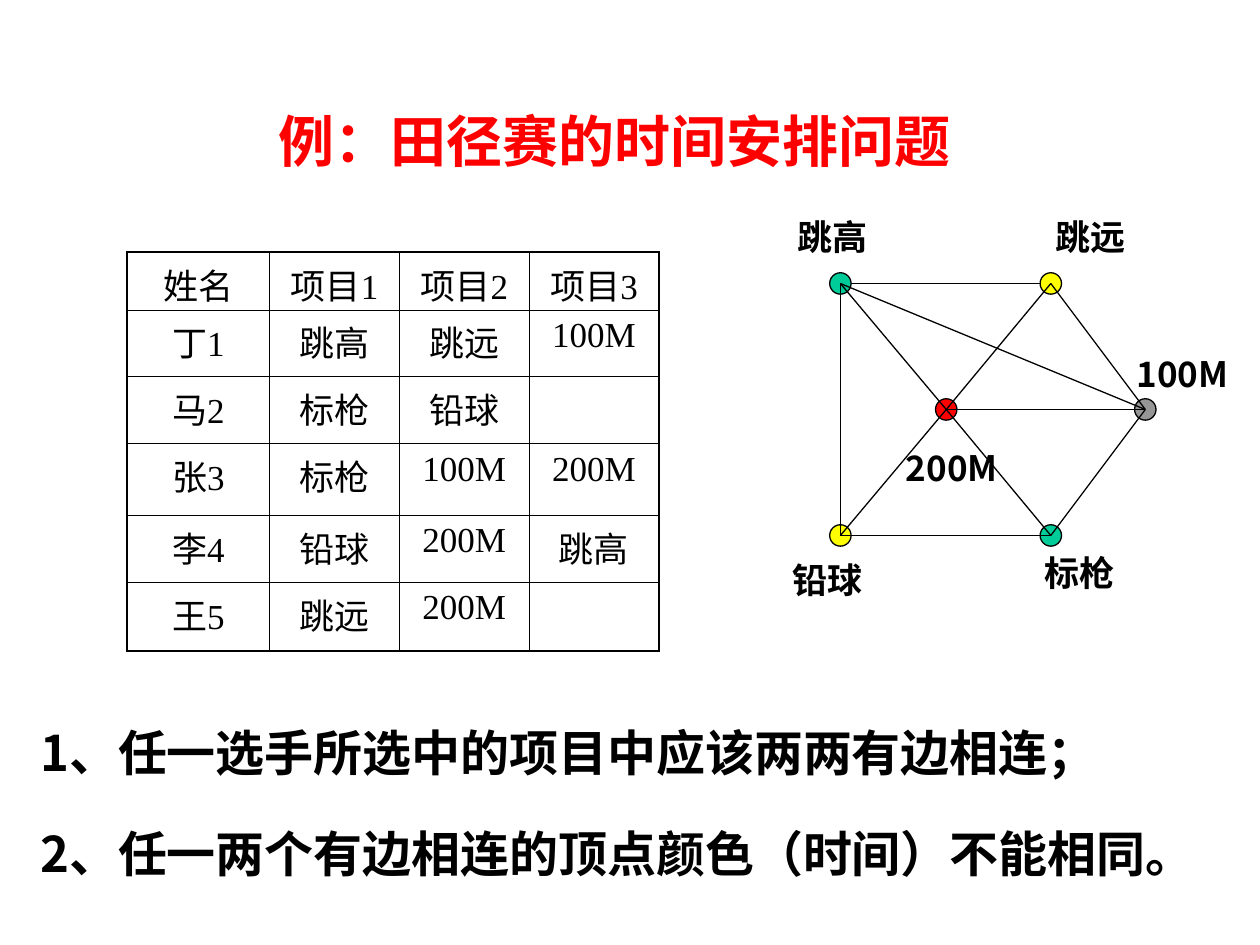
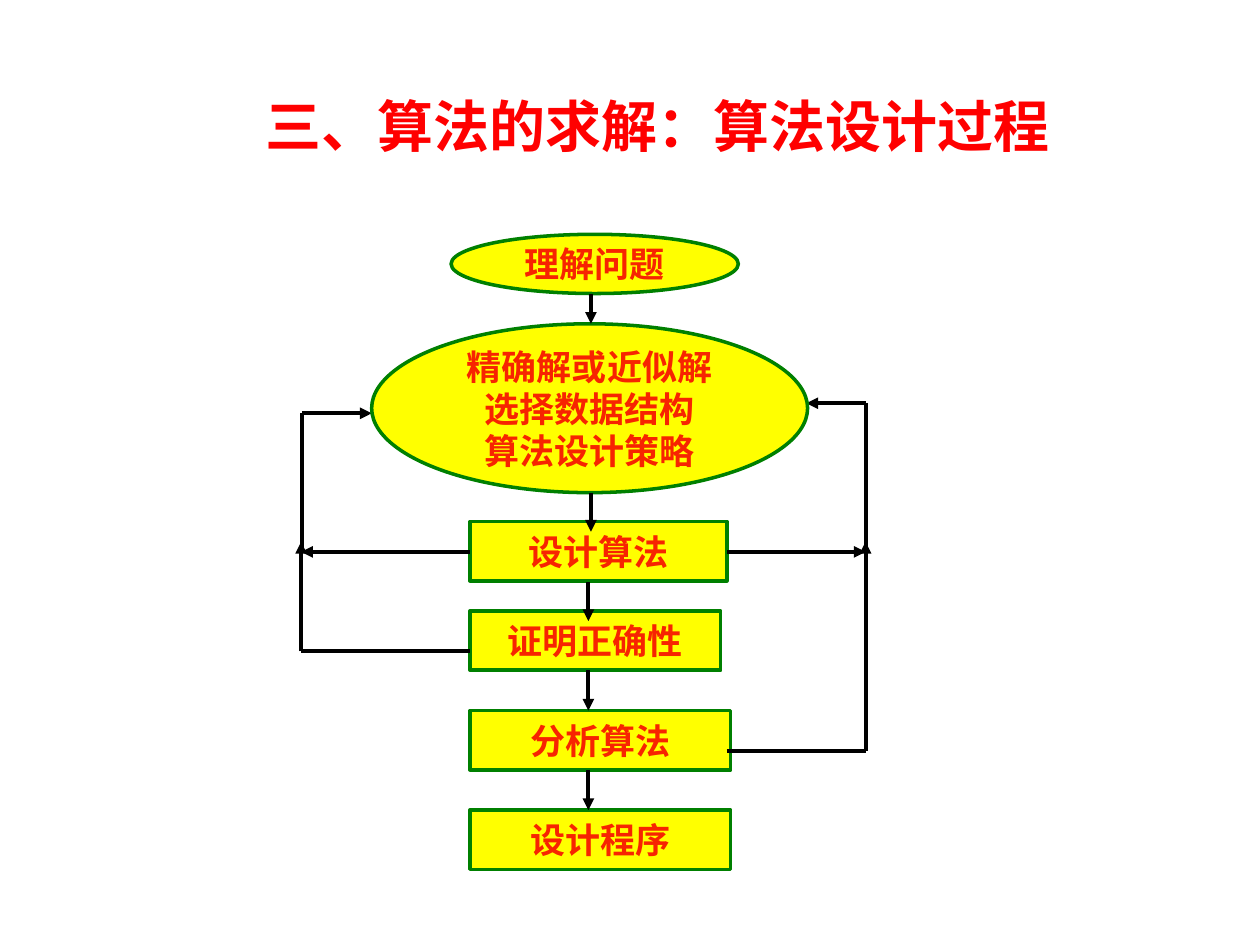
from lxml.etree import SubElement
from pptx import Presentation
from pptx.dml.color import RGBColor
from pptx.enum.shapes import MSO_CONNECTOR as Connector, MSO_SHAPE as Shape
from pptx.enum.text import MSO_ANCHOR as Anchor, MSO_AUTO_SIZE as AutoSize, PP_ALIGN as Align
from pptx.oxml.ns import qn
from pptx.util import Inches, Pt

BLACK = RGBColor(0x00, 0x00, 0x00)
RED = RGBColor(0xFF, 0x00, 0x00)
YELLOW = RGBColor(0xFF, 0xFF, 0x00)
TEAL = RGBColor(0x00, 0xCC, 0x99)
GRAY = RGBColor(0x96, 0x96, 0x96)
GREEN = RGBColor(0x00, 0x80, 0x00)
ORANGE_RED = RGBColor(0xF7, 0x24, 0x01)

SANS = "Noto Sans CJK SC"
LABEL_SANS = "Noto Sans CJK JP"
SERIF = "Times New Roman"
ARIAL = "Arial"

TITLE = {"size": Pt(32), "name": SANS, "color": RED, "bold": True}
BODY = {"size": Pt(28), "name": SANS, "color": BLACK, "bold": True}
LABEL = {"size": Pt(20), "name": LABEL_SANS, "color": BLACK, "bold": True}
CELL = {"size": Pt(20), "name": SERIF, "color": BLACK, "bold": False}
STEP = {"size": Pt(20), "name": SERIF, "color": ORANGE_RED, "bold": True}

OUTER_BORDER, INNER_BORDER = Pt(1.08), Pt(0.45)


class Deck:
    def __init__(self):
        self.presentation = Presentation()
        self.presentation.slide_width = Inches(10)
        self.presentation.slide_height = Inches(7.5)
        self.slide = None

    def new_slide(self):
        self.slide = self.presentation.slides.add_slide(self.presentation.slide_layouts[6])

    def set_margins(self, target, horizontal, vertical):
        target.margin_left = target.margin_right = Inches(horizontal)
        target.margin_top = target.margin_bottom = Inches(vertical)

    def add_lines(self, frame, lines, style, align=Align.LEFT, spacing=None, gap=0):
        """Fill a text frame, one paragraph a line, with gap points between paragraphs."""
        for index, line in enumerate(lines):
            paragraph = frame.add_paragraph() if index else frame.paragraphs[0]
            paragraph.alignment = align
            if spacing:
                paragraph.line_spacing = spacing
            if index and gap:
                paragraph.space_before = Pt(gap)
            run = paragraph.add_run()
            run.text = line
            self.style_font(run.font, style)

    def style_font(self, font, style):
        for key, value in style.items():
            if key == "color":
                font.color.rgb = value
            else:
                setattr(font, key, value)
        east_asian = style["name"] if style["name"] == LABEL_SANS else SANS
        SubElement(font._element, qn("a:ea"), typeface=east_asian)

    def text(self, box, lines, style, wrap=True, margins=(0.12, 0.06), spacing=1.2, gap=0):
        frame = self.slide.shapes.add_textbox(*map(Inches, box)).text_frame
        frame.word_wrap = wrap
        frame.auto_size = AutoSize.SHAPE_TO_FIT_TEXT
        self.set_margins(frame, *margins)
        self.add_lines(frame, lines, style, spacing=spacing, gap=gap)

    def shape(self, kind, box, fill, line_color, line_width):
        shape = self.slide.shapes.add_shape(kind, *map(Inches, box))
        shape.shadow.inherit = False
        shape.fill.solid()
        shape.fill.fore_color.rgb = fill
        shape.line.color.rgb = line_color
        shape.line.width = Pt(line_width)
        return shape

    def step(self, kind, box, lines, font_name=SERIF, wrap=False):
        frame = self.shape(kind, box, YELLOW, GREEN, 2).text_frame
        frame.word_wrap = wrap
        frame.vertical_anchor = Anchor.MIDDLE
        self.set_margins(frame, 0.1, 0.05)
        self.add_lines(frame, lines, {**STEP, "name": font_name}, Align.CENTER)

    def line(self, start, end, width=0.75, arrow=False):
        connector = self.slide.shapes.add_connector(
            Connector.STRAIGHT, *map(Inches, (*start, *end)))
        connector.line.color.rgb = BLACK
        connector.line.width = Pt(width)
        if arrow:
            SubElement(connector.line._get_or_add_ln(), qn("a:tailEnd"), type="triangle")
        SubElement(connector._element.spPr, qn("a:effectLst"))

    def table(self, left, top, widths, heights, rows):
        box = (left, top, sum(widths), sum(heights))
        table = self.slide.shapes.add_table(
            len(rows), len(widths), *map(Inches, box)).table
        table.first_row = table.horz_banding = False
        for column, width in zip(table.columns, widths):
            column.width = Inches(width)
        for row, height in zip(table.rows, heights):
            row.height = Inches(height)
        for i, values in enumerate(rows):
            for j, value in enumerate(values):
                cell = table.cell(i, j)
                self.set_margins(cell, 0.12, 0.05)
                if value:
                    self.add_lines(cell.text_frame, [value], CELL, Align.CENTER)
                self.border(cell, {"L": j == 0, "R": j == len(widths) - 1,
                                   "T": i == 0, "B": i == len(rows) - 1})
                cell.fill.background()

    def border(self, cell, outer_sides):
        """Draw the four sides; those marked True lie on the table's rim."""
        properties = cell._tc.get_or_add_tcPr()
        for side, outer in outer_sides.items():
            width = OUTER_BORDER if outer else INNER_BORDER
            line = SubElement(properties, qn(f"a:ln{side}"), w=str(int(width)))
            fill = SubElement(line, qn("a:solidFill"))
            SubElement(fill, qn("a:srgbClr"), val=str(BLACK))


def build_scheduling_slide(deck):
    deck.new_slide()
    deck.text((2.09, 0.68, 5.66, 0.76), ["例：田径赛的时间安排问题"], TITLE)
    deck.table(1.01, 2, [1.13, 1.03, 1.03, 1.03], [0.46, 0.53, 0.53, 0.57, 0.53, 0.55], [
        ["姓名", "项目1", "项目2", "项目3"],
        ["丁1", "跳高", "跳远", "100M"],
        ["马2", "标枪", "铅球", ""],
        ["张3", "标枪", "100M", "200M"],
        ["李4", "铅球", "200M", "跳高"],
        ["王5", "跳远", "200M", ""],
    ])
    deck.text((0.2, 5.58, 9.67, 1.49), [
        "1、任一选手所选中的项目中应该两两有边相连；",
        "2、任一两个有边相连的顶点颜色（时间）不能相同。",
    ], BODY, gap=17.5)

    # Each event: centre, colour, top left of its label
    events = {
        "跳高": ((6.67, 2.25), TEAL, (6.21, 1.58)),
        "跳远": ((8.34, 2.25), YELLOW, (8.26, 1.58)),
        "200M": ((7.51, 3.25), RED, (7.07, 3.42)),
        "铅球": ((6.67, 4.25), YELLOW, (6.17, 4.31)),
        "标枪": ((8.34, 4.25), TEAL, (8.17, 4.25)),
        "100M": ((9.09, 3.25), GRAY, (8.9, 2.67)),
    }
    diameter = 0.17
    radius = diameter / 2
    for (x, y), color, _ in events.values():
        deck.shape(Shape.OVAL, (x - radius, y - radius, diameter, diameter), color, BLACK, 0.75)
    deck.line((6.67 + radius, 2.25), (8.34 - radius, 2.25))
    for first, second in [
        ("铅球", "标枪"), ("200M", "铅球"), ("跳高", "200M"), ("200M", "跳远"),
        ("200M", "标枪"), ("200M", "100M"), ("跳远", "100M"), ("100M", "标枪"),
        ("跳高", "铅球"), ("跳高", "100M"),
    ]:
        deck.line(events[first][0], events[second][0])
    for name, (_, _, corner) in events.items():
        width = 0.99 if name.endswith("M") else 0.8
        deck.text((*corner, width, 0.52), [name], LABEL, wrap=False)


def build_process_slide(deck):
    deck.new_slide()
    deck.text((2.01, 0.68, 7.99, 0.64), ["三、算法的求解：算法设计过程"],
              {**TITLE, "name": SERIF}, margins=(0.1, 0.05), spacing=None)

    for name, top, width in [
        ("设计算法", 4.14, 2.04), ("证明正确性", 4.85, 1.99),
        ("分析算法", 5.64, 2.07), ("设计程序", 6.43, 2.07),
    ]:
        deck.step(Shape.RECTANGLE, (3.73, top, width, 0.47), [name])

    left, right = 2.39, 6.87
    feedback_lines = [
        ((3.73, 5.17), (left, 5.17), False),
        ((left, 5.17), (left, 4.3), True),
        ((3.73, 4.38), (left, 4.38), True),
        ((2.4, 4.38), (2.4, 3.28), False),
        ((2.4, 3.28), (2.95, 3.28), True),
        ((5.77, 5.96), (right, 5.96), False),
        ((right, 5.96), (right, 4.3), True),
        ((5.77, 4.38), (right, 4.38), True),
        ((right, 4.38), (right, 3.2), False),
        ((right, 3.2), (6.4, 3.2), True),
    ]
    for start, end, arrow in feedback_lines:
        deck.line(start, end, 2.25, arrow)

    deck.step(Shape.OVAL, (3.58, 1.86, 2.28, 0.47), ["理解问题"], ARIAL, wrap=True)
    deck.step(Shape.OVAL, (2.95, 2.57, 3.46, 1.34),
              ["精确解或近似解", "选择数据结构", "算法设计策略"], ARIAL, wrap=True)

    for x, top, bottom in [
        (4.69, 2.33, 2.57), (4.69, 3.91, 4.22), (4.67, 4.62, 4.93),
        (4.67, 5.32, 5.64), (4.67, 6.11, 6.43),
    ]:
        deck.line((x, top), (x, bottom), 2.25, arrow=True)


def main():
    deck = Deck()
    build_scheduling_slide(deck)
    build_process_slide(deck)
    deck.presentation.save("out.pptx")


if __name__ == "__main__":
    main()
